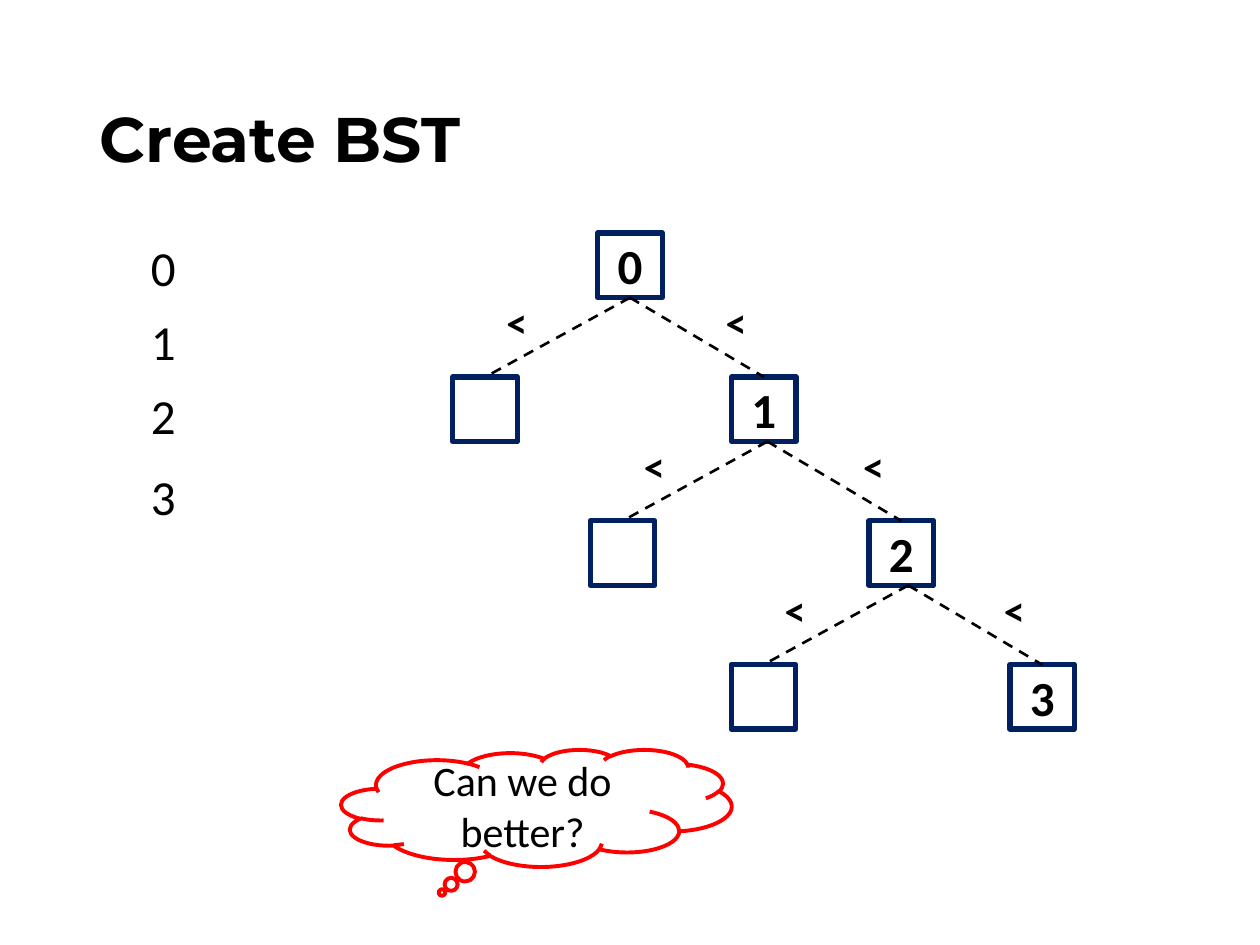
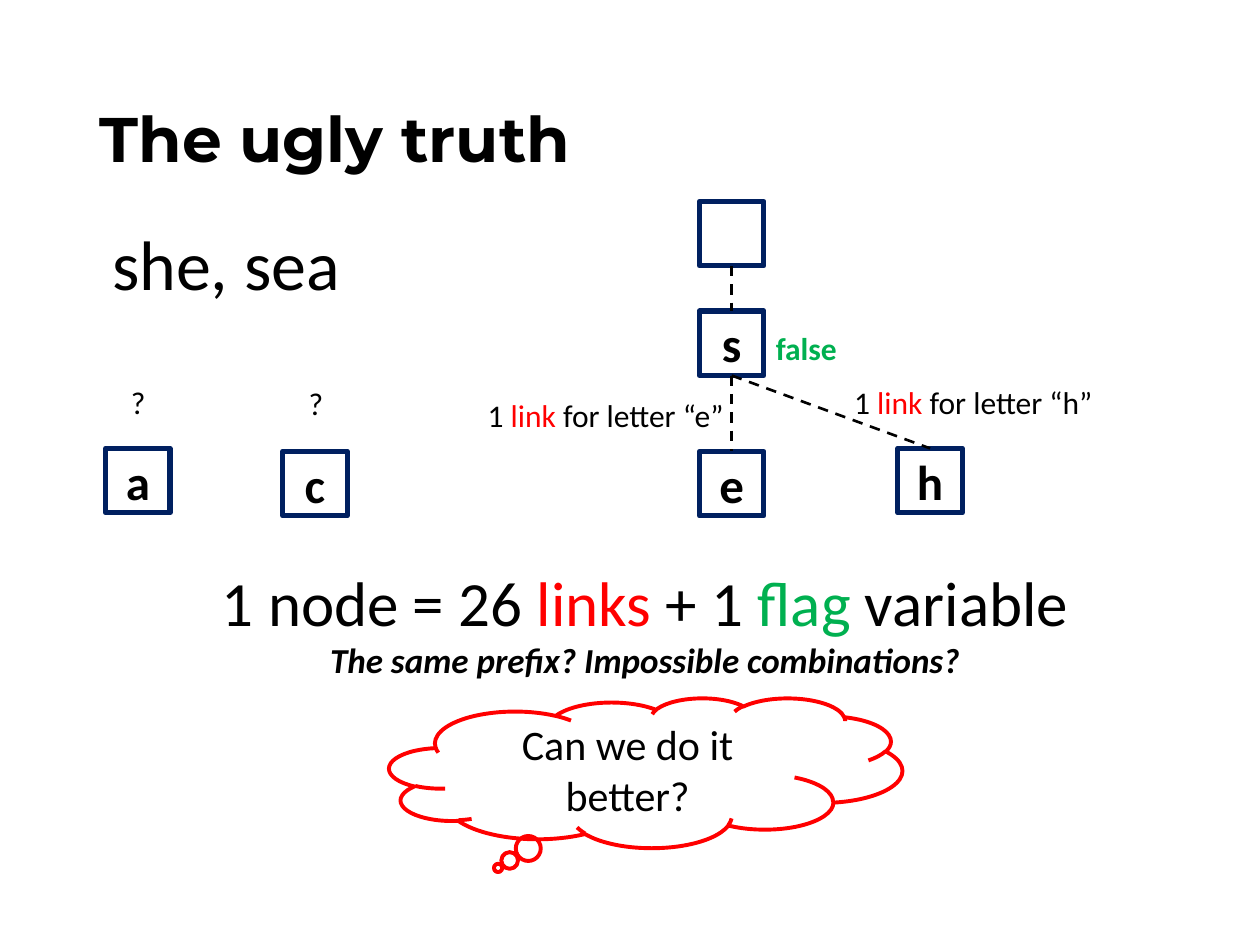
"""Build two slides on search trees and tries."""
from lxml import etree
from pptx import Presentation
from pptx.dml.color import RGBColor
from pptx.enum.dml import MSO_LINE
from pptx.enum.shapes import MSO_CONNECTOR, MSO_SHAPE
from pptx.enum.text import MSO_ANCHOR, MSO_AUTO_SIZE, PP_ALIGN
from pptx.oxml.ns import qn
from pptx.util import Cm, Pt

RECT, CLOUD = MSO_SHAPE.RECTANGLE, MSO_SHAPE.CLOUD_CALLOUT
LINE, DASH = MSO_CONNECTOR.STRAIGHT, MSO_LINE.DASH
LEFT, MID = PP_ALIGN.LEFT, PP_ALIGN.CENTER
CORE, NOFIT, GROW = MSO_ANCHOR.MIDDLE, MSO_AUTO_SIZE.NONE, MSO_AUTO_SIZE.SHAPE_TO_FIT_TEXT
BLACK = RGBColor(0x00, 0x00, 0x00)
NAVY = RGBColor(0x00, 0x20, 0x60)
RED = RGBColor(0xFF, 0x00, 0x00)
GREEN = RGBColor(0x00, 0xB0, 0x50)
HEAD, BODY = "Montserrat", "Calibri"
SIDE, STEP, TOP = 1.3, 2.9, 4.7
HALF = SIDE / 2

KEYS = [("0", 4.67), ("1", 6.15), ("2", 7.65), ("3", 9.27)]
FORKS = [12.7, 15.47, 18.31]
ARMS = [(-2.92, -2.74), (2.7, 1.68)]
TREE_ASK = ("Can we do better?", (6.88, 15.11, 7.87, 2.36), (-0.242, 0.722))

NODES = {"": (14.1, 4.06), "s": (14.1, 6.27), "h": (18.1, 9.04),
         "e": (14.1, 9.1), "a": (2.13, 9.04), "c": (5.7, 9.1)}
EDGES = [("", "s"), ("s", "h"), ("s", "e")]
LINKS = [("h", (16.97, 7.59, 5.38, 1.02)), ("e", (9.58, 7.85, 5.33, 1.02))]
MARKS = [(2.39, 7.59), (5.97, 7.62)]
SUM = [("1 node = 26 ", BLACK), ("links", RED), (" + 1 ", BLACK),
       ("flag", GREEN), (" variable", BLACK)]
HINT = [("The same prefix? Impossible combinations?", BLACK)]
TRIE_ASK = ("Can we do it better?", (7.85, 14.07, 10.34, 3.02), (-0.288, 0.635))


def place(box):
    return [Cm(round(n, 2)) for n in box]


def style(run, size, color=BLACK, bold=False, name=BODY):
    font = run.font
    font.name, font.size, font.bold = name, Pt(size), bold
    font.color.rgb = color


def fill(para, parts, size, bold=False, align=LEFT):
    para.alignment = align
    for text, color in parts:
        run = para.add_run()
        run.text = text
        style(run, size, color, bold)


def label(slide, box, parts, size, bold=False, align=LEFT):
    frame = slide.shapes.add_textbox(*place(box)).text_frame
    frame.word_wrap, frame.auto_size = False, GROW
    fill(frame.paragraphs[0], parts, size, bold, align)
    return frame


def outline(slide, kind, box, color, width, text, size, bold=False):
    shape = slide.shapes.add_shape(kind, *place(box))
    shape.shadow.inherit = False
    shape.fill.background()
    shape.line.color.rgb, shape.line.width = color, Pt(width)
    if text:
        frame = shape.text_frame
        frame.word_wrap, frame.vertical_anchor = True, CORE
        fill(frame.paragraphs[0], [(text, BLACK)], size, bold, MID)
    return shape


def node(slide, text, x, y):
    outline(slide, RECT, (x, y, SIDE, SIDE), NAVY, 3, text, 28, True)


def cloud(slide, text, box, tail):
    shape = outline(slide, CLOUD, box, RED, 2.25, text, 24)
    for i, part in enumerate(tail):
        shape.adjustments[i] = part


def edge(slide, *ends):
    line = slide.shapes.add_connector(LINE, *place(ends))
    line.line.color.rgb, line.line.width = BLACK, Pt(1.5)
    line.line.dash_style = DASH
    etree.SubElement(line._element.spPr, qn("a:effectLst"))


def start(deck, text):
    slide = deck.slides.add_slide(deck.slide_layouts[5])
    title = slide.shapes.title
    title.left, title.top, title.width, title.height = place((1.75, 1.02, 21.9, 3.68))
    frame = title.text_frame
    frame.text, frame.auto_size, frame.vertical_anchor = text, NOFIT, CORE
    para = frame.paragraphs[0]
    para.alignment, para.line_spacing = LEFT, 0.9
    style(para.runs[0], 36, BLACK, True, HEAD)
    return slide


def tree(deck):
    slide = start(deck, "Create BST")
    for key, y in KEYS:
        label(slide, (2.79, y, 1.02, 1.45), [(key, BLACK)], 28)
    node(slide, KEYS[0][0], FORKS[0] - HALF, TOP)
    for i, x in enumerate(FORKS):
        low, down = TOP + i * STEP + SIDE, TOP + (i + 1) * STEP
        for (arm, sign), text in zip(ARMS, ("", KEYS[i + 1][0])):
            node(slide, text, x + arm - HALF, down)
            edge(slide, x, low, x + arm, down)
            label(slide, (x + sign, low - 0.15, 0.94, 1.27), [("<", BLACK)], 24, True)
    cloud(slide, *TREE_ASK)


def trie(deck):
    slide = start(deck, "The ugly truth")
    for text, (x, y) in NODES.items():
        node(slide, text, x, y)
    for high, low in EDGES:
        (x, y), (end, down) = NODES[high], NODES[low]
        edge(slide, x + HALF, y + SIDE, end + HALF, down)
    label(slide, (2.01, 4.32, 5.16, 1.96), [("she, sea", BLACK)], 40)
    label(slide, (15.39, 6.5, 1.75, 1.02), [("false", GREEN)], 18, True)
    for key, box in LINKS:
        parts = [("1 ", BLACK), ("link", RED), (f" for letter “{key}”", BLACK)]
        label(slide, box, parts, 18)
    for x, y in MARKS:
        label(slide, (x, y, 0.81, 1.02), [("?", BLACK)], 18)
    frame = label(slide, (4.14, 11.23, 17.73, 2.64), SUM, 36, False, MID)
    para = frame.add_paragraph()
    fill(para, HINT, 20, True, MID)
    para.runs[0].font.italic = True
    cloud(slide, *TRIE_ASK)


deck = Presentation()
deck.slide_width, deck.slide_height = Cm(25.4), Cm(19.05)
tree(deck)
trie(deck)
deck.save("out.pptx")
